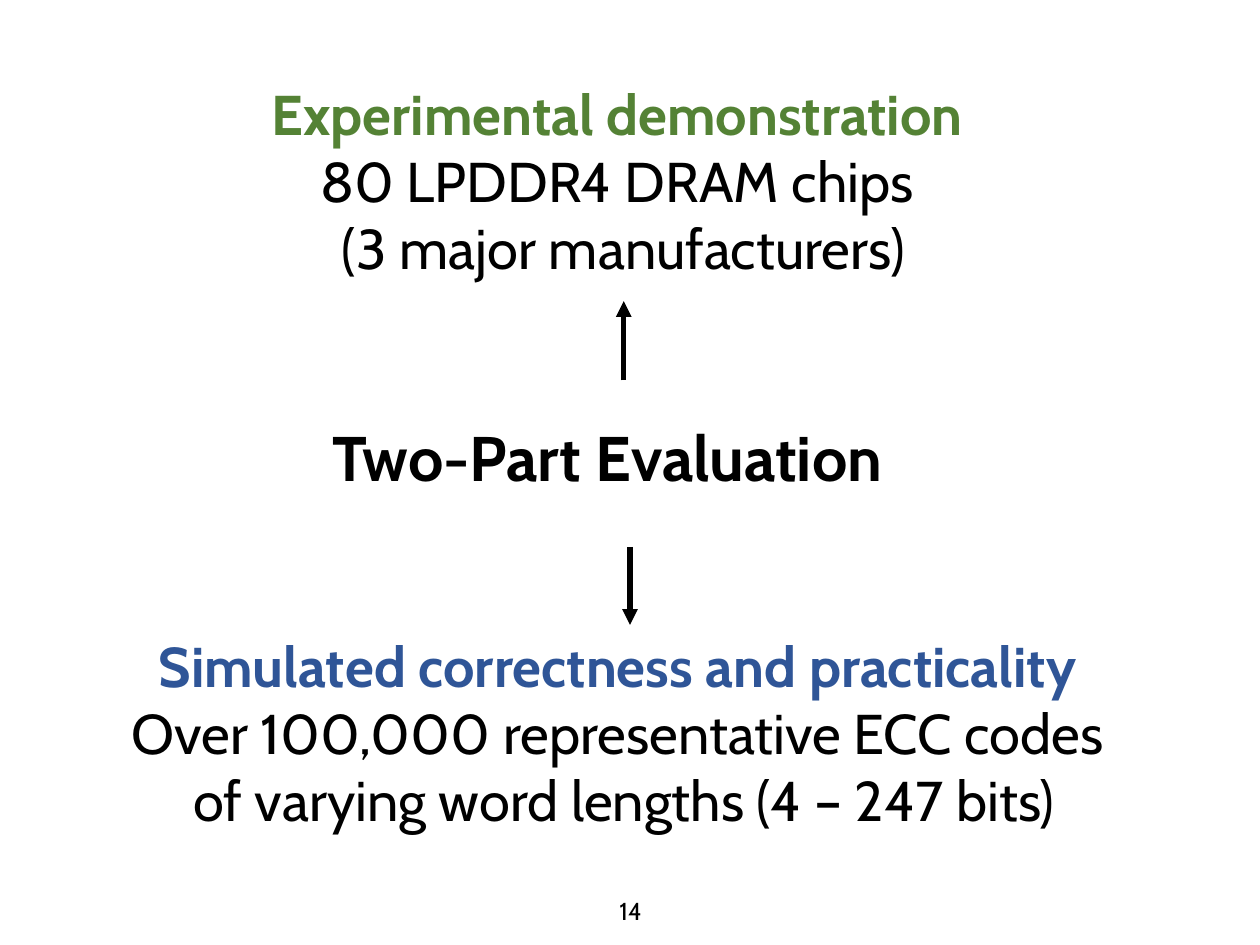
from pptx import Presentation
from pptx.dml.color import RGBColor
from pptx.enum.shapes import MSO_CONNECTOR
from pptx.enum.text import MSO_ANCHOR, MSO_AUTO_SIZE, PP_ALIGN
from pptx.oxml.ns import qn
from pptx.util import Inches, Pt
from lxml import etree

STRAIGHT = MSO_CONNECTOR.STRAIGHT
TOP, MIDDLE = MSO_ANCHOR.TOP, MSO_ANCHOR.MIDDLE
LEFT, CENTER = PP_ALIGN.LEFT, PP_ALIGN.CENTER
NO_FIT = MSO_AUTO_SIZE.NONE

BLACK = RGBColor(0x00, 0x00, 0x00)
GREEN = RGBColor(0x54, 0x82, 0x35)
BLUE = RGBColor(0x2F, 0x55, 0x97)
FONT = "Cabin"
WIDTH, HEIGHT = Inches(10), Inches(7.5)
COLS, ROWS = 100, 75
TITLE_ONLY = 5


def write(tf, text, size=32, color=BLACK, bold=False, align=CENTER, new=False):
    p = tf.add_paragraph() if new else tf.paragraphs[0]
    p.alignment = align
    r = p.add_run()
    r.text = text
    r.font.name = FONT
    r.font.size = Pt(size)
    r.font.bold = bold
    r.font.color.rgb = color


class Deck:
    def __init__(self):
        self.prs = Presentation()
        self.prs.slide_width, self.prs.slide_height = WIDTH, HEIGHT
        self.s = self.prs.slides.add_slide(self.prs.slide_layouts[TITLE_ONLY])

    def x(self, col):
        return round(WIDTH * col / COLS)

    def y(self, row):
        return round(HEIGHT * row / ROWS)

    def frame(self, sp, anchor):
        tf = sp.text_frame
        tf.word_wrap = True
        tf.auto_size = NO_FIT
        tf.vertical_anchor = anchor
        return tf

    def box(self, col, row, cols, rows, anchor=TOP):
        sp = self.s.shapes.add_textbox(self.x(col), self.y(row), self.x(cols), self.y(rows))
        return self.frame(sp, anchor)

    def title(self, text, col, row, cols, rows):
        sp = self.s.shapes.title
        sp.left, sp.top = self.x(col), self.y(row)
        sp.width, sp.height = self.x(cols), self.y(rows)
        write(self.frame(sp, TOP), text, size=36, bold=True, align=LEFT)

    def summary(self, heading, color, lines, *place):
        tf = self.box(*place)
        write(tf, heading, color=color, bold=True)
        for line in lines:
            write(tf, line, new=True)

    def arrow(self, col, start, end):
        sp = self.s.shapes.add_connector(
            STRAIGHT, self.x(col), self.y(start), self.x(col), self.y(end))
        sp.line.color.rgb = BLACK
        sp.line.width = Pt(3)
        sp_pr = sp._element.spPr
        etree.SubElement(sp_pr.find(qn("a:ln")), qn("a:tailEnd"), type="triangle")
        etree.SubElement(sp_pr, qn("a:effectLst"))

    def number(self, text, *place):
        write(self.box(*place, anchor=MIDDLE), text, size=14)


def main():
    deck = Deck()
    deck.number("14", 38.8, 70.7, 22.5, 3.1)
    deck.summary("Simulated correctness and practicality ", BLUE,
                 ["Over 100,000 representative ECC codes ",
                  "of varying word lengths (4 – 247 bits)"],
                 1.9, 49.6, 95.3, 11.8)
    deck.arrow(50, 43.4, 49.6)
    deck.title("Two-Part Evaluation", 25.4, 32.7, 49.2, 7.1)
    deck.arrow(49.5, 30.2, 23.9)
    deck.summary("Experimental demonstration ", GREEN,
                 ["80 LPDDR4 DRAM chips ", "(3 major manufacturers)"],
                 13.3, 5.8, 72.4, 17.2)
    deck.prs.save("out.pptx")


if __name__ == "__main__":
    main()
